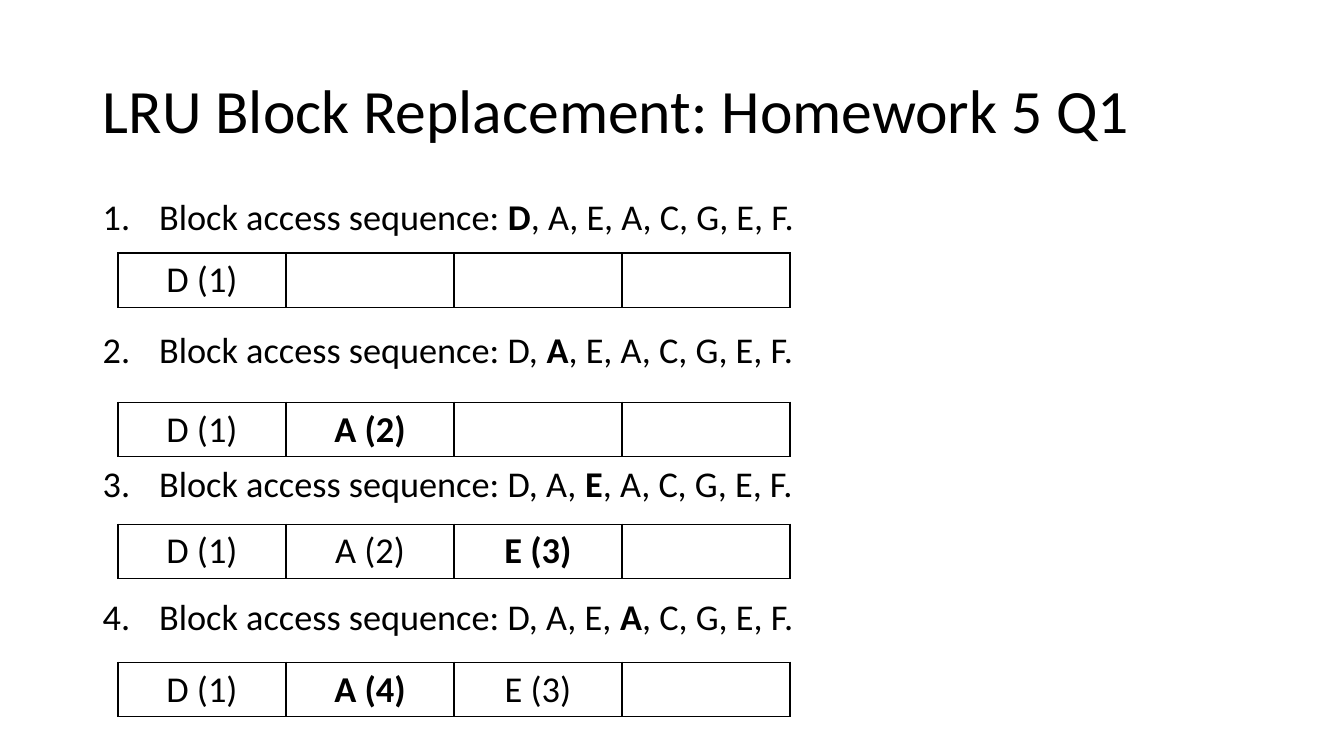
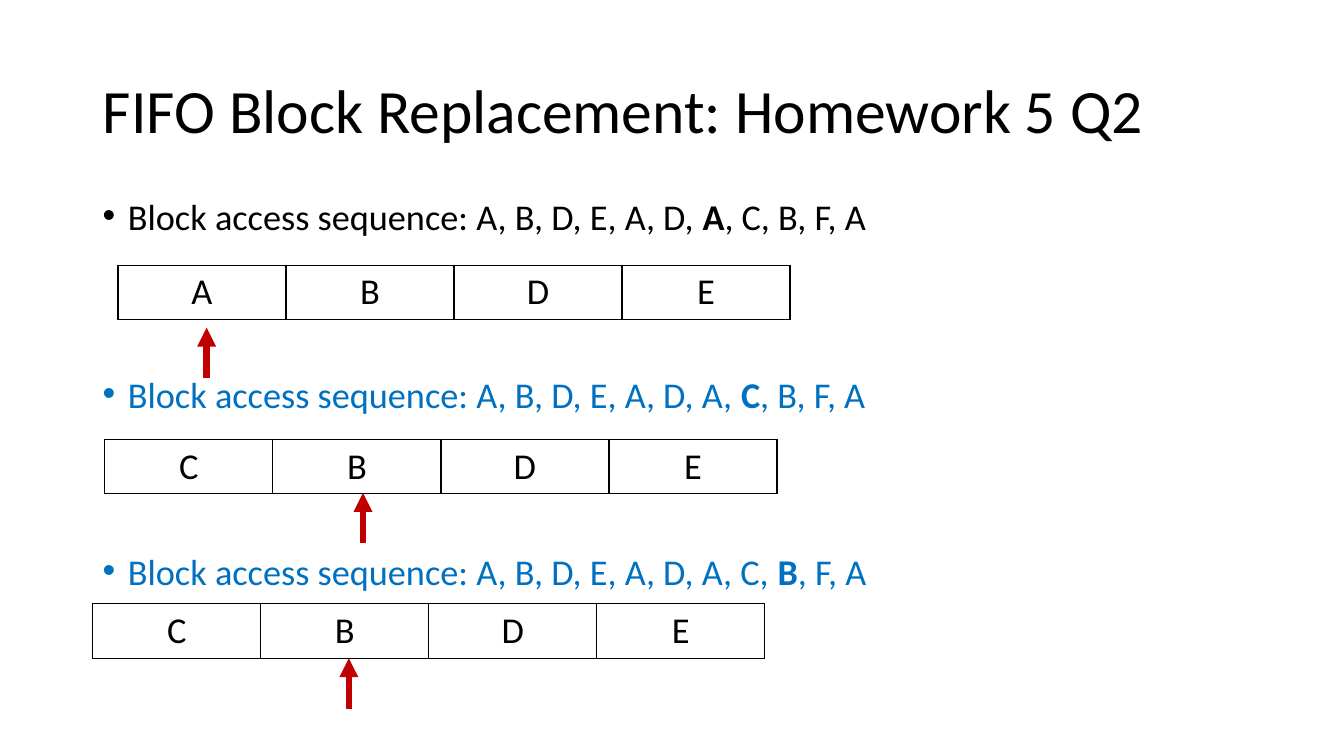
from lxml.etree import SubElement
from pptx import Presentation
from pptx.dml.color import RGBColor
from pptx.enum.shapes import MSO_CONNECTOR
from pptx.enum.text import MSO_ANCHOR, MSO_AUTO_SIZE, PP_ALIGN
from pptx.oxml.ns import qn
from pptx.util import Inches, Pt

# Shared style
BLACK = RGBColor(0x00, 0x00, 0x00)
BLUE = RGBColor(0x00, 0x70, 0xC0)
RED = RGBColor(0xC0, 0x00, 0x00)
FONT = "Calibri"
LEFT, WIDTH = 0.92, 11.5
COL_W, ROW_H = 5 / 3, 0.54
ARROW_H = 0.5
NUMBER = ("buAutoNum", {"type": "arabicPeriod"})
BULLET = ("buChar", {"char": "•"})


def add_run(p, text, size=26, bold=False, color=BLACK):
    r = p.add_run()
    r.text = text
    r.font.name = FONT
    r.font.size = Pt(size)
    r.font.bold = bold
    r.font.color.rgb = color


def add_slide(prs, title):
    s = prs.slides.add_slide(prs.slide_layouts[5])
    sp = s.shapes.title
    sp.left, sp.top = Inches(LEFT), Inches(0.4)
    sp.width, sp.height = Inches(WIDTH), Inches(1.45)
    tf = sp.text_frame
    tf.word_wrap = True
    tf.auto_size = MSO_AUTO_SIZE.NONE
    tf.vertical_anchor = MSO_ANCHOR.MIDDLE
    p = tf.paragraphs[0]
    p.alignment = PP_ALIGN.LEFT
    p.line_spacing = 0.9
    add_run(p, title, size=44)
    return s


def add_sequences(s, blocks, steps, marker, indent, gap, height, end=""):
    """List the access sequence once per step, with the current block in bold."""
    sp = s.shapes.add_textbox(Inches(LEFT), Inches(2), Inches(WIDTH), Inches(height))
    tf = sp.text_frame
    tf.word_wrap = True
    for i, (current, color) in enumerate(steps):
        p = tf.add_paragraph() if i else tf.paragraphs[0]
        p.line_spacing = 0.7
        p.space_before = Pt(gap if i else 0)
        pPr = p._p.get_or_add_pPr()
        pPr.set("marL", str(Inches(indent)))
        pPr.set("indent", str(-Inches(indent)))
        SubElement(pPr, qn("a:buFont"), typeface="Arial" if marker is BULLET else FONT)
        tag, attrs = marker
        SubElement(pPr, qn("a:" + tag), attrs)
        before = "".join(b + ", " for b in blocks[:current])
        after = "".join(", " + b for b in blocks[current + 1:])
        add_run(p, "Block access sequence: " + before, size=25.9, color=color)
        add_run(p, blocks[current], size=25.9, bold=True, color=color)
        add_run(p, after + end, size=25.9, color=color)


def set_borders(cell):
    tcPr = cell._tc.get_or_add_tcPr()
    for i, side in enumerate(("lnL", "lnR", "lnT", "lnB")):
        ln = tcPr.makeelement(qn("a:" + side), {"w": str(Pt(1))})
        fill = SubElement(ln, qn("a:solidFill"))
        SubElement(fill, qn("a:srgbClr"), val=str(BLACK))
        tcPr.insert(i, ln)


def add_cache(s, left, top, labels, bold=None):
    """Draw the four block frames; bold is the index of the frame just used."""
    frame = s.shapes.add_table(1, 4, Inches(left), Inches(top),
                               Inches(4 * COL_W), Inches(ROW_H))
    table = frame.table
    table.first_row = table.horz_banding = False
    table.rows[0].height = Inches(ROW_H)
    for i, cell in enumerate(table.rows[0].cells):
        table.columns[i].width = Inches(COL_W)
        cell.fill.background()
        set_borders(cell)
        if i < len(labels):
            p = cell.text_frame.paragraphs[0]
            p.alignment = PP_ALIGN.CENTER
            add_run(p, labels[i], bold=i == bold)


def add_pointer(s, x, top):
    line = s.shapes.add_connector(MSO_CONNECTOR.STRAIGHT, Inches(x),
                                  Inches(top + ARROW_H), Inches(x), Inches(top))
    line.line.color.rgb = RED
    line.line.width = Pt(4.5)
    SubElement(line.line._get_or_add_ln(), qn("a:tailEnd"), type="triangle")
    SubElement(line._element.spPr, qn("a:effectLst"))


def build_lru(prs):
    s = add_slide(prs, "LRU Block Replacement: Homework 5 Q1")
    add_sequences(s, "DAEACGEF", [(i, BLACK) for i in range(4)], NUMBER,
                  indent=0.56, gap=73.3, height=4.76, end=".")
    for top, labels, bold in (
        (2.51, ["D (1)"], None),
        (3.99, ["D (1)", "A (2)"], 1),
        (5.2, ["D (1)", "A (2)", "E (3)"], 2),
        (6.57, ["D (1)", "A (4)", "E (3)"], 1),
    ):
        add_cache(s, 1.17, top, labels, bold)


def build_fifo(prs):
    s = add_slide(prs, "FIFO Block Replacement: Homework 5 Q2")
    add_sequences(s, "ABDEADACBFA", [(6, BLACK), (7, BLUE), (8, BLUE)], BULLET,
                  indent=0.25, gap=105, height=4.09)
    # Each cache with the pointer to the next frame to replace
    for left, top, labels, x, tip in (
        (1.17, 2.63, "ABDE", 2.05, 3.25),
        (1.04, 4.36, "CBDE", 3.6, 4.89),
        (0.92, 5.99, "CBDE", 3.46, 6.53),
    ):
        add_cache(s, left, top, labels)
        add_pointer(s, x, tip)


def main():
    prs = Presentation()
    prs.slide_width, prs.slide_height = Inches(13.33), Inches(7.5)
    build_lru(prs)
    build_fifo(prs)
    prs.save("out.pptx")


if __name__ == "__main__":
    main()
